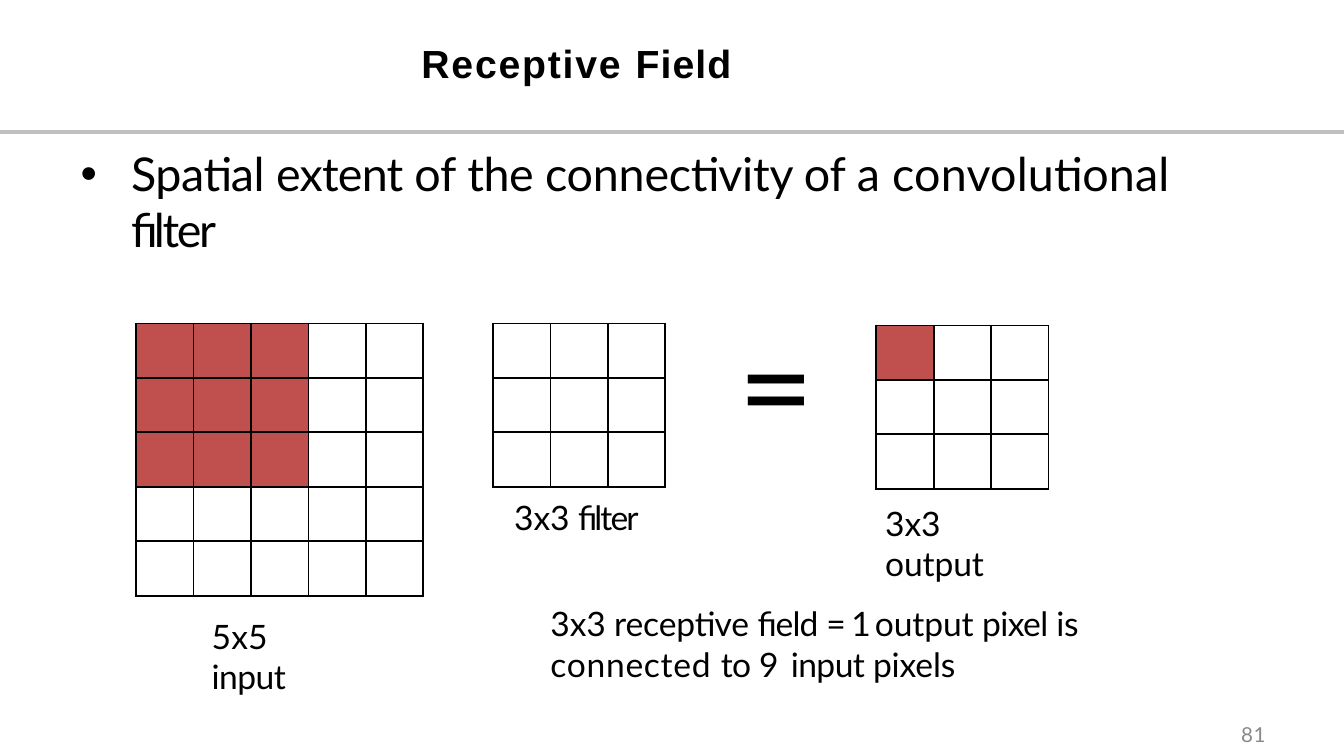
from dataclasses import dataclass

from lxml.etree import SubElement
from pptx import Presentation
from pptx.dml.color import RGBColor
from pptx.enum.shapes import MSO_CONNECTOR as Connector
from pptx.enum.text import MSO_ANCHOR as Anchor, MSO_AUTO_SIZE as AutoSize
from pptx.oxml.ns import qn
from pptx.slide import Slide
from pptx.util import Pt

PX = 9144  # 100 px to the inch
BLACK, RED, RULE_GRAY, NUMBER_GRAY = "000000", "C0504D", "C0C0C1", "898989"
CELL_WIDTH, CELL_HEIGHT = 57, 54
BORDER_SIDES = ("a:lnL", "a:lnR", "a:lnT", "a:lnB")

Spans = list[tuple[str, float]]  # wording and letter spacing in points


@dataclass
class Grid:
    left: int
    top: int
    size: int
    shaded: int  # side of the red square at the top left


@dataclass
class Label:
    left: int
    top: int
    width: int
    height: int
    spans: Spans
    line_spacing: float = 1.0


GRIDS = [
    Grid(135, 321, 5, 3),
    Grid(489, 321, 3, 0),
    Grid(869, 323, 3, 1),
]

LABELS = [
    Label(208, 607, 140, 42, [("5x5 ", 0.1), ("input", -0.4)]),
    Label(508, 489, 129, 42, [("3x3 ", -0.1), ("filter", -1.3)]),
    Label(876, 495, 160, 82, [("3x3 output", -0.1)]),
    Label(544, 593, 540, 81, [
        ("3x3 receptive ", -0.1), ("field ", -0.6), ("= ", -2.1), ("1 ", -3.3),
        ("output ", -0.1), ("pixel ", -0.4), ("is ", -0.3), ("connected ", 0.5),
        ("to ", -0.5), ("9 ", 1.3), ("input ", -0.4), ("pixels", -0.1),
    ], 1.02),
]


def px(length: int) -> int:
    return length * PX


def color(value: str) -> RGBColor:
    return RGBColor.from_string(value)


def add_text(page: Slide, left: int, top: int, width: int, height: int,
             spans: Spans, *, size: float = 24, font: str = "Lato",
             ink: str = BLACK, bold: bool = False, inset: int = 4,
             margin: int = 2, hanging: int = 0, bullet: str = "",
             line_spacing: float = 1.0, anchor: Anchor = Anchor.TOP) -> None:
    box = page.shapes.add_textbox(px(left), px(top), px(width), px(height))
    frame = box.text_frame
    frame.word_wrap = True
    frame.auto_size = AutoSize.SHAPE_TO_FIT_TEXT
    frame.vertical_anchor = anchor
    frame.margin_left = frame.margin_right = frame.margin_bottom = 0
    frame.margin_top = px(inset)

    para = frame.paragraphs[0]
    properties = para._p.get_or_add_pPr()
    properties.set("marL", str(px(margin)))
    properties.set("indent", str(px(-hanging)))
    if bullet:
        SubElement(properties, qn("a:buFont"), typeface="Arial")
        SubElement(properties, qn("a:buChar"), char=bullet)
    para.line_spacing = line_spacing

    for wording, spacing in spans:
        span = para.add_run()
        span.text = wording
        span.font.name = font
        span.font.size = Pt(size)
        span.font.bold = bold
        span.font.color.rgb = color(ink)
        span._r.get_or_add_rPr().set("spc", str(round(spacing * 100)))


def add_grid(page: Slide, grid: Grid) -> None:
    table = page.shapes.add_table(
        grid.size, grid.size, px(grid.left), px(grid.top),
        px(grid.size * CELL_WIDTH), px(grid.size * CELL_HEIGHT)).table
    table.first_row = table.horz_banding = False
    for index in range(grid.size):
        table.columns[index].width = px(CELL_WIDTH)
        table.rows[index].height = px(CELL_HEIGHT)
    for row in range(grid.size):
        for column in range(grid.size):
            cell = table.cell(row, column)
            # Borders come before the fill in the cell properties
            properties = cell._tc.get_or_add_tcPr()
            for side in BORDER_SIDES:
                border = SubElement(properties, qn(side), w=str(Pt(1.5)))
                fill = SubElement(border, qn("a:solidFill"))
                SubElement(fill, qn("a:srgbClr"), val=BLACK)
            if max(row, column) < grid.shaded:
                cell.fill.solid()
                cell.fill.fore_color.rgb = color(RED)
            else:
                cell.fill.background()


def add_rule(page: Slide, top: int, width: int) -> None:
    rule = page.shapes.add_connector(
        Connector.STRAIGHT, 0, px(top), px(width), px(top))
    rule.line.color.rgb = color(RULE_GRAY)
    rule.line.width = Pt(2.25)
    SubElement(rule._element.spPr, qn("a:effectLst"))


def main() -> None:
    deck = Presentation()
    deck.slide_width, deck.slide_height = px(1333), px(750)
    page = deck.slides.add_slide(deck.slide_layouts[6])

    # Header and page number
    add_rule(page, 131, 1333)
    add_text(page, 416, 36, 501, 49, [("Receptive ", 1.3), ("Field", 0.8)],
             size=28, font="Arial", bold=True, anchor=Anchor.MIDDLE)
    add_text(page, 1225, 715, 34, 25, [("81", 0.4)], size=14.7,
             ink=NUMBER_GRAY, inset=1, margin=6)

    # Definition
    add_text(page, 78, 140, 1118, 114, [
        ("Spatial ", -0.3), ("extent ", -0.6), ("of ", -0.2), ("the ", -0.4),
        ("connectivity of ", -0.2), ("a convolutional ", 0.1), ("filter", -1.7),
    ], size=33.3, margin=52, hanging=50, bullet="•")

    # Input, filter and output
    for grid in GRIDS:
        add_grid(page, grid)
    add_text(page, 730, 297, 60, 159, [("=", -8.3)], size=93.3)
    for label in LABELS:
        add_text(page, label.left, label.top, label.width, label.height,
                 label.spans, line_spacing=label.line_spacing)

    deck.save("out.pptx")


if __name__ == "__main__":
    main()
